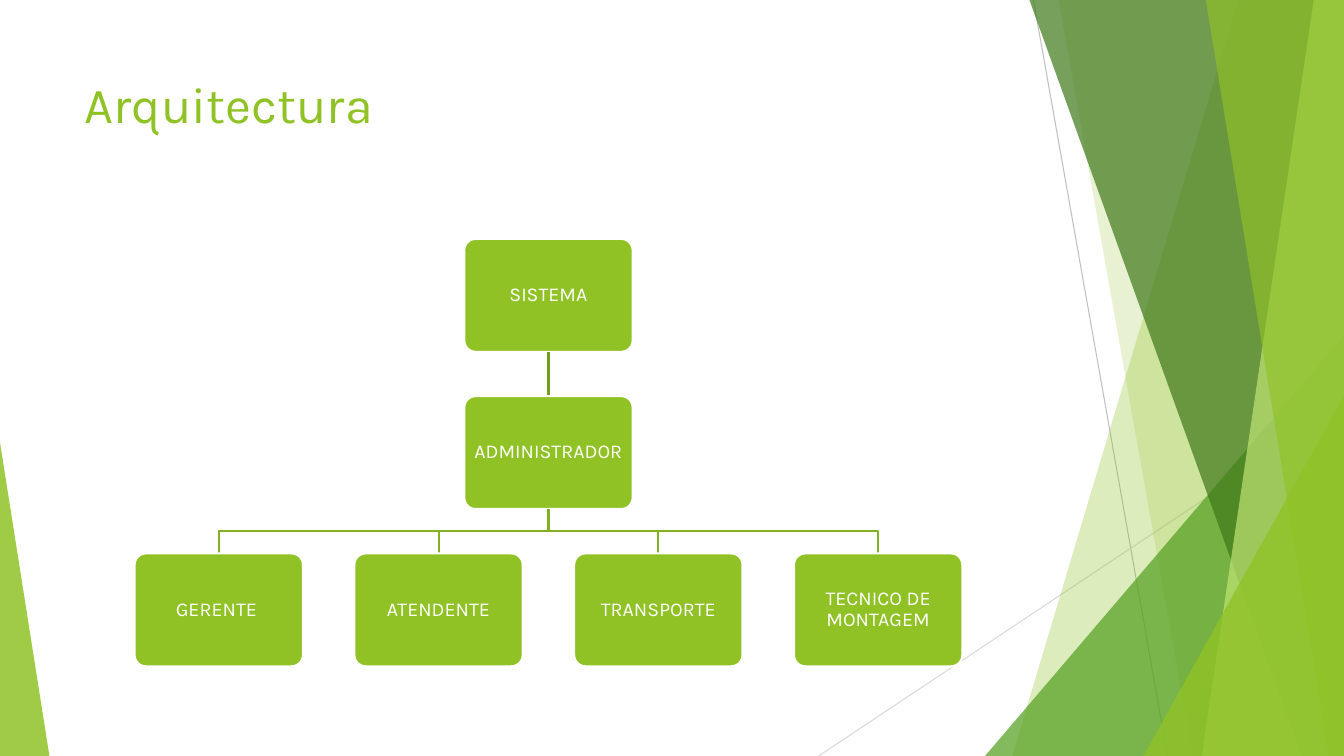
import lxml.etree
import pptx
import pptx.dml.color
import pptx.enum.shapes
import pptx.enum.text
import pptx.oxml.ns
import pptx.util

Inches = pptx.util.Inches
Pt = pptx.util.Pt
RGBColor = pptx.dml.color.RGBColor
SHAPE = pptx.enum.shapes.MSO_SHAPE
STRAIGHT = pptx.enum.shapes.MSO_CONNECTOR.STRAIGHT
ALIGN = pptx.enum.text.PP_ALIGN
ANCHOR = pptx.enum.text.MSO_ANCHOR
qn = pptx.oxml.ns.qn

GREEN = RGBColor(0x90, 0xC2, 0x26)
MID_GREEN = RGBColor(0x54, 0xA0, 0x21)
DARK_GREEN = RGBColor(0x3F, 0x78, 0x19)
LIGHT_GREEN = RGBColor(0xC0, 0xE4, 0x74)
STEM = RGBColor(0x73, 0x9B, 0x1E)
BRANCH = RGBColor(0x83, 0xB0, 0x22)
GREY = RGBColor(0xBF, 0xBF, 0xBF)
PALE_GREY = RGBColor(0xD9, 0xD9, 0xD9)
WHITE = RGBColor(0xFF, 0xFF, 0xFF)


def write(sp, text, size, color, align=ALIGN.LEFT, anchor=ANCHOR.TOP,
          inset=0.1, spacing=1.0):
    tf = sp.text_frame
    tf.word_wrap = True
    tf.vertical_anchor = anchor
    tf.margin_left = tf.margin_right = Inches(inset)
    tf.margin_top = tf.margin_bottom = Inches(min(inset, 0.06))
    p = tf.paragraphs[0]
    p.alignment = align
    p.line_spacing = spacing
    r = p.add_run()
    r.text = text
    r.font.name = "Karla"
    r.font.size = Pt(size)
    r.font.color.rgb = color


def add_path(points, closed):
    (x, y), *rest = [(Inches(px), Inches(py)) for px, py in points]
    builder = s.shapes.build_freeform(x, y, scale=1.0)
    builder.add_line_segments(rest, close=closed)
    sp = builder.convert_to_shape()
    sp.shadow.inherit = False
    return sp


prs = pptx.Presentation()
prs.slide_width = Inches(13.33)
prs.slide_height = Inches(7.5)
s = prs.slides.add_slide(prs.slide_layouts[6])
connectors = []

# Thin background lines
for x1, y1, x2, y2, color in [(10.25, 0, 11.58, 7.5, GREY),
                              (13.33, 4.03, 8.12, 7.5, PALE_GREY)]:
    line = s.shapes.add_connector(STRAIGHT, Inches(x1), Inches(y1), Inches(x2), Inches(y2))
    line.line.color.rgb = color
    line.line.width = Pt(0.75)
    connectors.append(line)

# Translucent facets: bands run from (top x, bottom x) to the right edge,
# triangles are left, top, width, height, apex
facets = [
    ("band", (12.28, 10.04), GREEN, 30),
    ("band", (10.5, 11.83), GREEN, 20),
    ("triangle", (9.77, 3.33, 3.56, 4.17, 1), MID_GREEN, 72),
    ("band", (10.21, 12.91), DARK_GREEN, 70),
    ("band", (13.03, 11.92), LIGHT_GREEN, 70),
    ("band", (11.96, 13.18), GREEN, 65),
    ("triangle", (11.34, 3.93, 1.99, 3.57, 1), GREEN, 80),
    ("triangle", (0, 4.39, 0.49, 3.11, 0), GREEN, 85),
]
for kind, place, color, opacity in facets:
    if kind == "band":
        top_x, bottom_x = place
        sp = add_path([(top_x, 0), (13.33, 0), (13.33, 7.5), (bottom_x, 7.5)], True)
    else:
        *frame, apex = place
        sp = s.shapes.add_shape(SHAPE.ISOSCELES_TRIANGLE, *map(Inches, frame))
        sp.adjustments[0] = apex
        sp.shadow.inherit = False
    sp.fill.solid()
    sp.fill.fore_color.rgb = color
    sp.line.fill.background()
    clr = sp.fill._xPr.find(qn("a:solidFill")).find(qn("a:srgbClr"))
    lxml.etree.SubElement(clr, qn("a:alpha")).set("val", str(opacity * 1000))

# Title
title = s.shapes.add_textbox(Inches(0.74), Inches(0.67), Inches(9.4), Inches(1.44))
write(title, "Arquitectura", 36, GREEN)

# Organisation chart, level by level
BOX_W, BOX_H = 1.67, 1.12
CENTER, PITCH = 5.44, 2.18
TOP, LEVEL = 2.37, 1.56
levels = [["SISTEMA"], ["ADMINISTRADOR"],
          ["GERENTE ", "ATENDENTE", "TRANSPORTE", "TECNICO DE MONTAGEM"]]
parent = None
for depth, names in enumerate(levels):
    y = TOP + depth * LEVEL
    parent_bottom = y - LEVEL + BOX_H
    centers = [CENTER + (i - (len(names) - 1) / 2) * PITCH for i in range(len(names))]

    # Lines from the level above, behind this level's boxes
    stem = None
    if parent is not None and len(names) == 1:
        stem = s.shapes.add_connector(STRAIGHT, Inches(CENTER), Inches(parent_bottom),
                                      Inches(CENTER), Inches(y))
        stem.line.color.rgb = STEM
        stem.line.width = Pt(1.5)
        stem.begin_connect(parent, 2)
        connectors.append(stem)
    elif parent is not None:
        bend = (parent_bottom + y) / 2
        for cx in centers:
            branch = add_path([(CENTER, parent_bottom), (CENTER, bend), (cx, bend), (cx, y)], False)
            branch.fill.background()
            branch.line.color.rgb = BRANCH
            branch.line.width = Pt(1.5)

    for name, cx in zip(names, centers):
        box = s.shapes.add_shape(SHAPE.ROUNDED_RECTANGLE, Inches(cx - BOX_W / 2), Inches(y),
                                 Inches(BOX_W), Inches(BOX_H))
        box.adjustments[0] = 0.1
        box.shadow.inherit = False
        box.fill.solid()
        box.fill.fore_color.rgb = GREEN
        box.line.color.rgb = WHITE
        box.line.width = Pt(1.5)
        write(box, name, 14, WHITE, align=ALIGN.CENTER, anchor=ANCHOR.MIDDLE,
              inset=0.06, spacing=0.9)
    if stem is not None:
        stem.end_connect(box, 0)
    parent = box

# Connectors without shadow
for line in connectors:
    lxml.etree.SubElement(line._element.spPr, qn("a:effectLst"))

prs.save("out.pptx")
